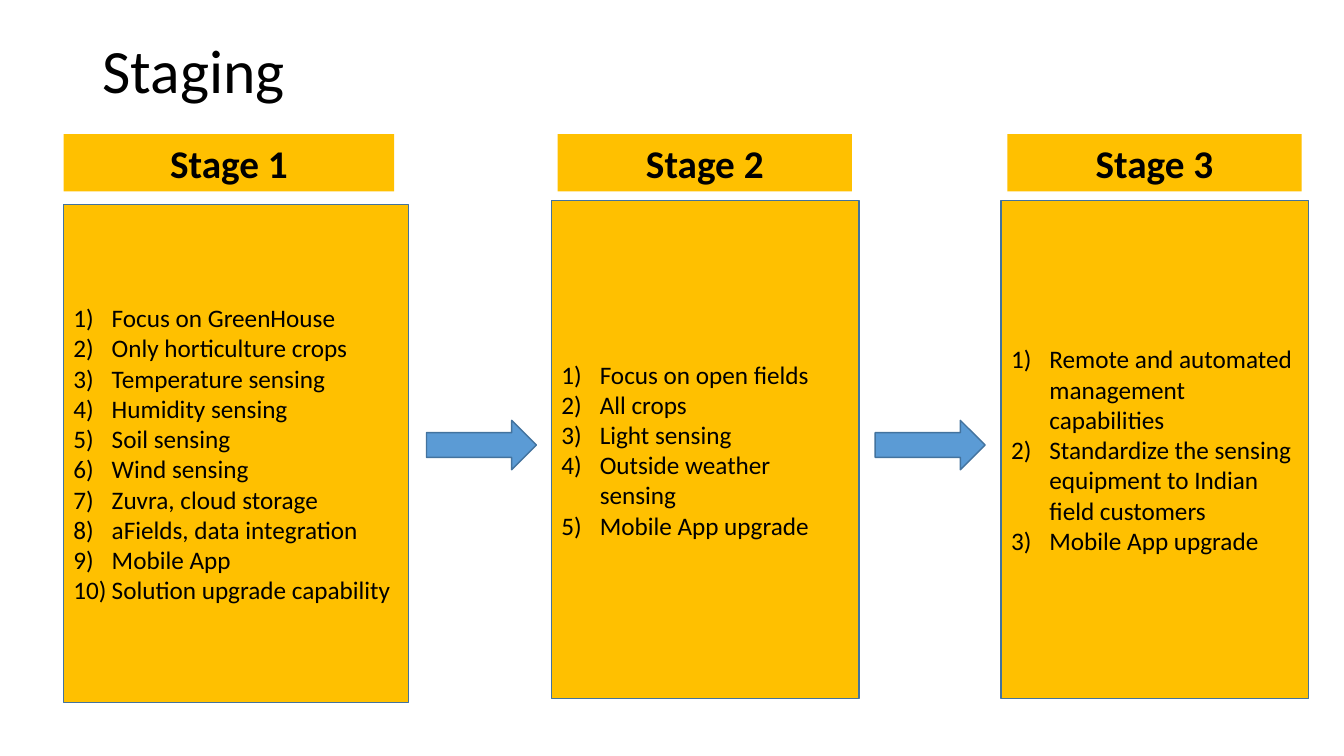
import pptx
import pptx.util
import pptx.dml.color
import pptx.enum.shapes
import pptx.enum.text
import pptx.oxml.ns
from lxml import etree
from pptx.util import Inches

COLORS = {"stage": "FFC000", "arrow": "5B9BD5", "outline": "43739E", "text": "000000"}
SHAPES = pptx.enum.shapes.MSO_SHAPE
ALIGN = pptx.enum.text.PP_ALIGN
ANCHOR = pptx.enum.text.MSO_ANCHOR

# Each stage: name, header (left, width), panel (left, top, width), tasks
STAGES = [
    ("Stage 1", (0.63, 3.28), (0.63, 2.03, 3.42), [
        "Focus on GreenHouse", "Only horticulture crops", "Temperature sensing",
        "Humidity sensing", "Soil sensing", "Wind sensing", "Zuvra, cloud storage",
        "aFields, data integration", "Mobile App", "Solution upgrade capability"]),
    ("Stage 2", (5.53, 2.92), (5.47, 1.99, 3.05), [
        "Focus on open fields", "All crops", "Light sensing",
        "Outside weather sensing", "Mobile App upgrade"]),
    ("Stage 3", (9.99, 2.92), (9.93, 1.99, 3.05), [
        "Remote and automated management capabilities",
        "Standardize the sensing equipment to Indian field customers",
        "Mobile App upgrade"]),
]
ARROW_LEFTS = [4.23, 8.68]


def rgb(name):
    """Return the named colour."""
    return pptx.dml.color.RGBColor.from_string(COLORS[name])


def number_paragraph(para, indent=0.38):
    """Give a paragraph a hanging automatic number such as 1)."""
    properties = para._p.get_or_add_pPr()
    properties.set("marL", str(Inches(indent)))
    properties.set("indent", str(-Inches(indent)))
    bullet = etree.SubElement(properties, pptx.oxml.ns.qn("a:buAutoNum"))
    bullet.set("type", "arabicParenR")


def write_text(box, lines, size=18, bold=False, align=ALIGN.LEFT,
               anchor=ANCHOR.MIDDLE, spacing=1.0, numbered=False, font="Calibri"):
    """Fill a box with one formatted paragraph for each line."""
    frame = box.text_frame
    frame.word_wrap = True
    frame.vertical_anchor = anchor
    for index, line in enumerate(lines):
        para = frame.add_paragraph() if index else frame.paragraphs[0]
        para.alignment = align
        para.line_spacing = spacing
        if numbered:
            number_paragraph(para)
        span = para.add_run()
        span.text = line
        span.font.name = font
        span.font.size = pptx.util.Pt(size)
        span.font.bold = bold
        span.font.color.rgb = rgb("text")


class StagingSlide:
    """Holds the style and the current slide."""

    def __init__(self, page):
        """Keep the page to draw on."""
        self.page = page

    def title(self, text):
        """Add the slide title."""
        box = self.page.shapes.add_textbox(
            Inches(0.92), Inches(0.25), Inches(11.5), Inches(0.95))
        write_text(box, [text], size=44, spacing=0.9)

    def shape(self, kind, left, top, width, height, fill, outlined=True):
        """Add a flat filled shape, with or without an outline."""
        shape = self.page.shapes.add_shape(
            kind, Inches(left), Inches(top), Inches(width), Inches(height))
        shape.shadow.inherit = False
        shape.fill.solid()
        shape.fill.fore_color.rgb = rgb(fill)
        if outlined:
            shape.line.color.rgb = rgb("outline")
            shape.line.width = pptx.util.Pt(1)
        else:
            shape.line.fill.background()
        return shape

    def panel(self, left, top, width, tasks):
        """Add the numbered task list of a stage."""
        box = self.shape(SHAPES.RECTANGLE, left, top, width, 4.94, "stage")
        write_text(box, tasks, numbered=True)

    def header(self, left, width, name):
        """Add the heading above a stage."""
        box = self.shape(SHAPES.RECTANGLE, left, 1.33, width, 0.57, "stage", outlined=False)
        write_text(box, [name], size=28, bold=True, align=ALIGN.CENTER, anchor=ANCHOR.TOP)

    def arrow(self, left):
        """Add an arrow leading to the next stage."""
        self.shape(SHAPES.RIGHT_ARROW, left, 4.17, 1.09, 0.49, "arrow")


def main():
    """Build and save the deck."""
    deck = pptx.Presentation()
    deck.slide_width, deck.slide_height = Inches(13.33), Inches(7.5)
    slide = StagingSlide(deck.slides.add_slide(deck.slide_layouts[6]))
    slide.title("Staging")
    for name, header, panel, tasks in STAGES:
        slide.panel(*panel, tasks)
        slide.header(*header, name)
    for left in ARROW_LEFTS:
        slide.arrow(left)
    deck.save("out.pptx")


main()
